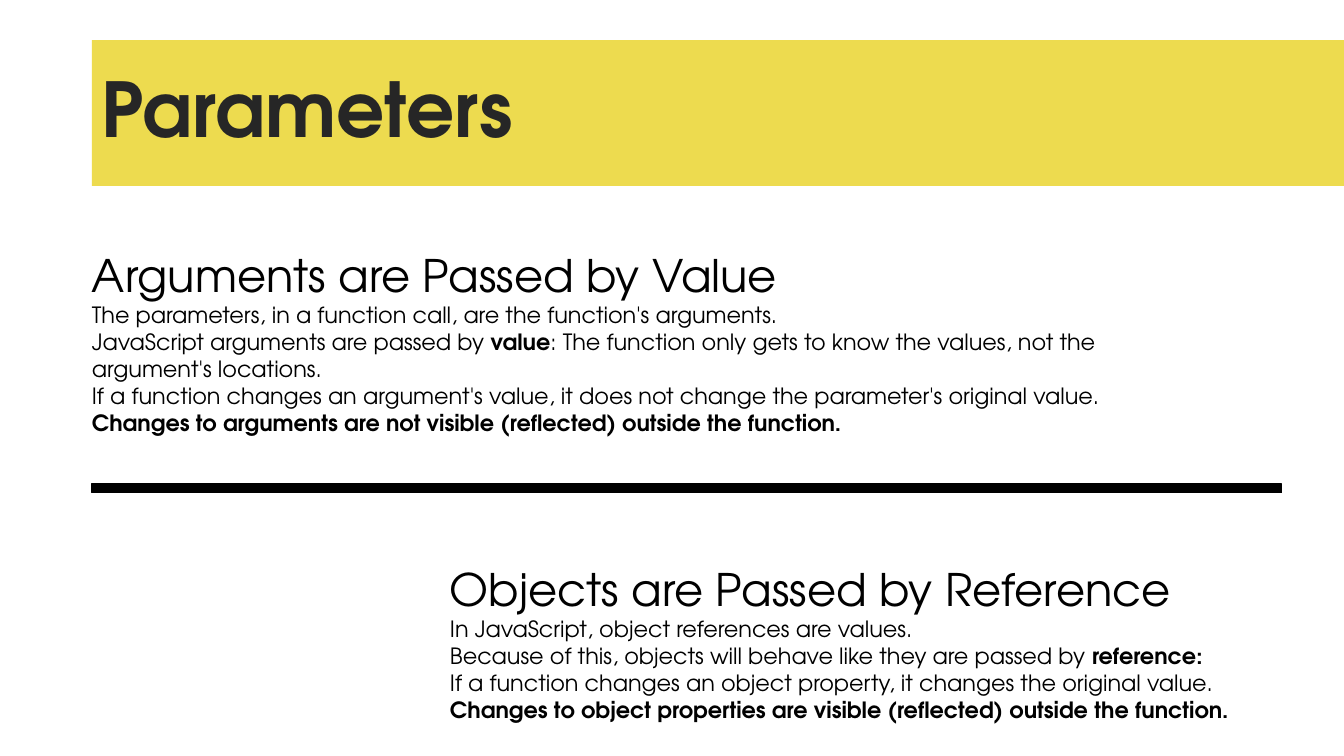
from pptx import Presentation
from pptx.dml.color import RGBColor
from pptx.enum.shapes import MSO_SHAPE
from pptx.enum.text import MSO_ANCHOR, PP_ALIGN
from pptx.util import Pt

FONT = "TeX Gyre Adventor"
COLORS = {"band": "EDDB4F", "title": "262626", "ink": "000000", "paper": "FFFFFF"}
WIDE, HIGH = 1344, 756
LEFT = 92
PX = 914400 / 100.8

# Each line is a list of (text, bold) runs.
TITLE = [[("Parameters", True)]]
VALUE = [
    [("Arguments are Passed by Value", False)],
    [("The parameters, in a function call, are the function's arguments.", False)],
    [("JavaScript arguments are passed by ", False), ("value", True),
     (": The function only gets to know the values, not the argument's locations.", False)],
    [("If a function changes an argument's value, it does not change "
      "the parameter's original value.", False)],
    [("Changes to arguments are not visible (reflected) outside the function.", True)],
]
REFERENCE = [
    [("Objects are Passed by Reference", False)],
    [("In JavaScript, object references are values.", False)],
    [("Because of this, objects will behave like they are passed by ", False),
     ("reference:", True)],
    [("If a function changes an object property, it changes the original value.", False)],
    [("Changes to object properties are visible (reflected) outside the function.", True)],
]


def px(n):
    return round(n * PX)


def color(name):
    return RGBColor.from_string(COLORS[name])


def add_box(slide, left, top, width, height, fill):
    box = slide.shapes.add_shape(
        MSO_SHAPE.RECTANGLE, px(left), px(top), px(width), px(height))
    box.shadow.inherit = False
    box.fill.solid()
    box.fill.fore_color.rgb = color(fill)
    box.line.fill.background()
    return box


def write(box, lines, head, ink, side, edge, anchor=MSO_ANCHOR.MIDDLE):
    """Fill the box; the first line has size head, the rest 16 pt."""
    frame = box.text_frame
    frame.word_wrap = True
    frame.vertical_anchor = anchor
    frame.margin_left = frame.margin_right = px(side)
    frame.margin_top = frame.margin_bottom = px(edge)
    for i, line in enumerate(lines):
        para = frame.add_paragraph() if i else frame.paragraphs[0]
        para.alignment = PP_ALIGN.LEFT
        for text, bold in line:
            run = para.add_run()
            run.text = text
            run.font.name = FONT
            run.font.size = Pt(16 if i else head)
            run.font.bold = bold
            run.font.color.rgb = color(ink)


def main():
    deck = Presentation()
    deck.slide_width, deck.slide_height = px(WIDE), px(HIGH)
    slide = deck.slides.add_slide(deck.slide_layouts[6])

    band = add_box(slide, LEFT, 40, WIDE - LEFT, 146, "band")
    write(band, TITLE, 54, "title", 10, 5)
    band.text_frame.paragraphs[0].line_spacing = 0.9

    upper = add_box(slide, LEFT, 216, 1011, 251, "paper")
    write(upper, VALUE, 32, "ink", 0, 17)

    rule = add_box(slide, LEFT, 484, 1190, 9, "ink")
    rule.line.color.rgb = color("ink")
    rule.line.width = Pt(0.75)

    lower = add_box(slide, 450, 497, WIDE - 450, 234, "paper")
    write(lower, REFERENCE, 32, "ink", 0, 8, MSO_ANCHOR.BOTTOM)

    deck.save("out.pptx")


if __name__ == "__main__":
    main()
